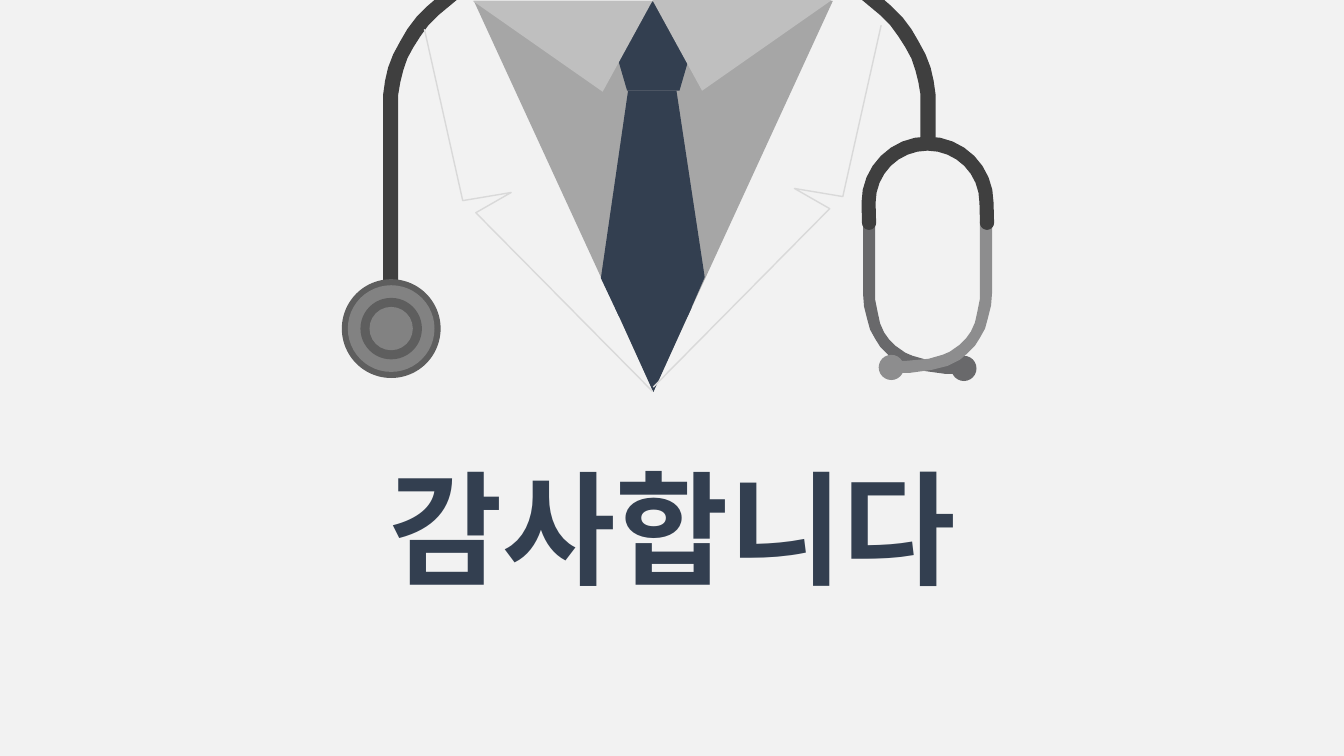
import math
import pptx
import pptx.util
import pptx.dml.color
import pptx.enum.shapes
import pptx.enum.text
import pptx.oxml.ns
import lxml.etree

Inches = pptx.util.Inches
RGBColor = pptx.dml.color.RGBColor
KIND = pptx.enum.shapes.MSO_SHAPE

PAPER = RGBColor(0xF2, 0xF2, 0xF2)
SHIRT = RGBColor(0xA6, 0xA6, 0xA6)
COLLAR = RGBColor(0xBF, 0xBF, 0xBF)
NAVY = RGBColor(0x33, 0x3F, 0x50)
RUBBER = RGBColor(0x3F, 0x3F, 0x3F)
RIM = RGBColor(0x5E, 0x5E, 0x5E)
DISC = RGBColor(0x82, 0x82, 0x82)
DARK = RGBColor(0x69, 0x69, 0x6B)
LIGHT = RGBColor(0x8D, 0x8D, 0x8E)
SEAM = RGBColor(0xD9, 0xD9, 0xD9)

deck = pptx.Presentation()
deck.slide_width = Inches(13.33)
deck.slide_height = Inches(7.5)
slide = deck.slides.add_slide(deck.slide_layouts[6])
slide.background.fill.solid()
slide.background.fill.fore_color.rgb = PAPER
shapes = slide.shapes


def preset(kind, box, color, turn=0, tip=None):
    shape = shapes.add_shape(kind, *[Inches(n) for n in box])
    shape.shadow.inherit = False
    shape.fill.solid()
    shape.fill.fore_color.rgb = color
    shape.line.fill.background()
    shape.rotation = turn
    if tip is not None:
        shape.adjustments[0] = tip


def outline(points, color, closed=True):
    spots = [(Inches(x), Inches(y)) for x, y in points]
    pen = shapes.build_freeform(*spots[0], scale=1.0)
    pen.add_line_segments(spots[1:], close=closed)
    shape = pen.convert_to_shape()
    shape.shadow.inherit = False
    if closed:
        shape.fill.solid()
        shape.fill.fore_color.rgb = color
        shape.line.fill.background()
    else:
        shape.fill.background()
        shape.line.color.rgb = color
        shape.line.width = pptx.util.Pt(1)


preset(KIND.ISOSCELES_TRIANGLE, (4.7, 0.01, 3.56, 3.87), SHIRT, 180)
preset(KIND.REGULAR_PENTAGON, (6.06, 0.01, 0.84, 0.89), NAVY)
outline([(6.23, 0.9), (6.71, 0.9), (6.99, 2.75), (6.82, 3.14), (6.14, 3.14), (5.96, 2.76)], NAVY)
preset(KIND.ISOSCELES_TRIANGLE, (4.69, 0.01, 1.78, 0.9), COLLAR, 180, 0.277)

inner = [(4.53, 0), (4.35, 0.15), (4.25, 0.25), (4.17, 0.36), (4.1, 0.47), (4.04, 0.58),
         (4, 0.7), (3.97, 0.82), (3.95, 0.94)]
outer = [(3.8, 0.94), (3.82, 0.8), (3.85, 0.67), (3.9, 0.54), (3.97, 0.41), (4.04, 0.29),
         (4.13, 0.17), (4.24, 0.06), (4.31, 0)]
for end, side in ((3.51, 1), (1.47, -1)):
    cord = inner + [(3.95, end), (3.8, end)] + outer
    outline([(6.54 + side * (x - 6.54), y) for x, y in cord], RUBBER)

for size, color in ((0.98, RIM), (0.86, DISC), (0.61, RIM), (0.43, DISC)):
    preset(KIND.OVAL, (3.88 - size / 2, 3.26 - size / 2, size, size), color)

mid = 9.2
arm = [(8.56, 2.21), (8.68, 2.21), (8.68, 2.97), (8.71, 3.12), (8.73, 3.21), (8.77, 3.3),
       (8.82, 3.37), (8.88, 3.43), (8.98, 3.5), (9.05, 3.53), (9.19, 3.57), (9.41, 3.59),
       (9.56, 3.59), (9.56, 3.71), (9.38, 3.71), (9.16, 3.68), (9, 3.64), (8.88, 3.58),
       (8.81, 3.52), (8.73, 3.44), (8.68, 3.36), (8.63, 3.27), (8.6, 3.16), (8.57, 3.04),
       (8.56, 2.91)]
for side, color, rise in ((1, DARK, 0), (-1, LIGHT, 0.01)):
    outline([(mid + side * (x - mid), y - rise) for x, y in arm], color)
    preset(KIND.OVAL, (mid + side * 0.36 - 0.125, 3.53 - rise, 0.25, 0.25), color)

yoke = []
for x, y, reach, start, sweep in ((mid, 2.01, 0.655, 180, 180), (9.79, 2.21, 0.07, 0, 180),
                                  (mid, 2.01, 0.515, 360, -180), (8.62, 2.21, 0.07, 0, 180)):
    for step in range(17):
        angle = math.radians(start + sweep * step / 16)
        yoke.append((x + reach * math.cos(angle), y + reach * math.sin(angle)))
outline(yoke, RUBBER)

preset(KIND.ISOSCELES_TRIANGLE, (6.47, 0, 1.78, 0.9), COLLAR, 180, 0.723)
preset(KIND.ISOSCELES_TRIANGLE, (6.1, 3.05, 0.76, 0.84), NAVY, 180)

lapel = [(4.21, 0.29), (4.59, 1.99), (5.07, 1.91), (4.72, 2.11), (6.47, 3.88)]
outline(lapel, SEAM, False)
outline([(12.95 - x, y - 0.04) for x, y in lapel], SEAM, False)

thanks = shapes.add_textbox(Inches(3.32), Inches(3.71), Inches(6.7), Inches(2.04))
frame = thanks.text_frame
frame.word_wrap = True
frame.auto_size = pptx.enum.text.MSO_AUTO_SIZE.SHAPE_TO_FIT_TEXT
frame.text = "감사합니다"
line = frame.paragraphs[0]
line.alignment = pptx.enum.text.PP_ALIGN.CENTER
line.line_spacing = 1.5
font = line.runs[0].font
font.size = pptx.util.Pt(88)
font.bold = True
font.color.rgb = NAVY
font.name = "Noto Sans CJK KR"
east = lxml.etree.SubElement(line.runs[0]._r.get_or_add_rPr(), pptx.oxml.ns.qn("a:ea"))
east.set("typeface", font.name)

deck.save("out.pptx")
